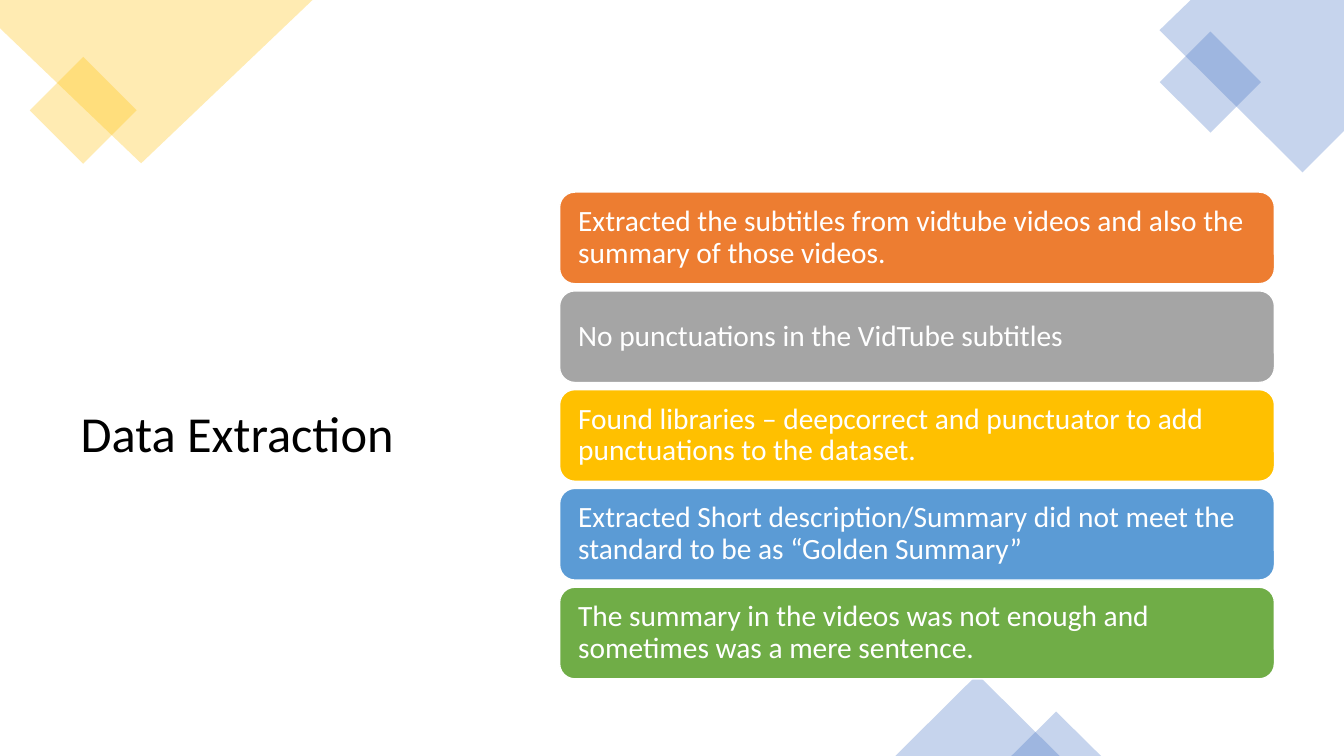
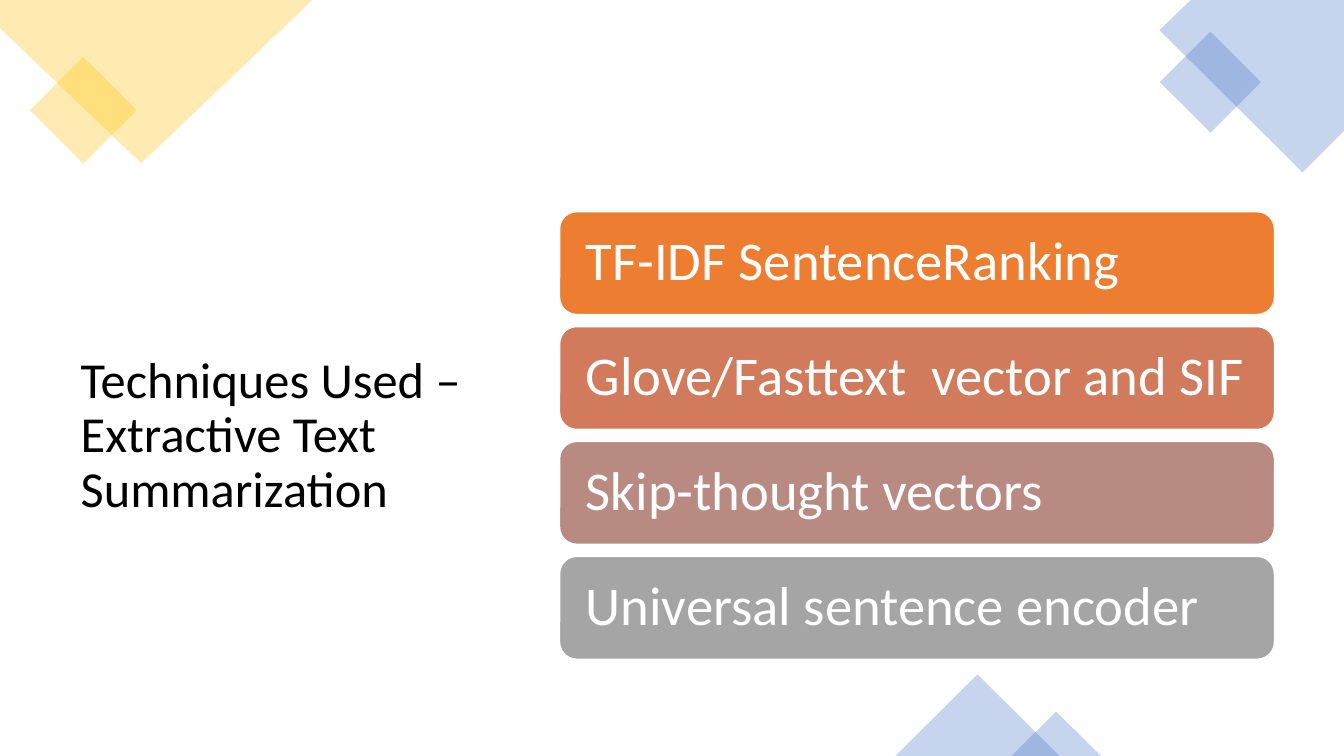
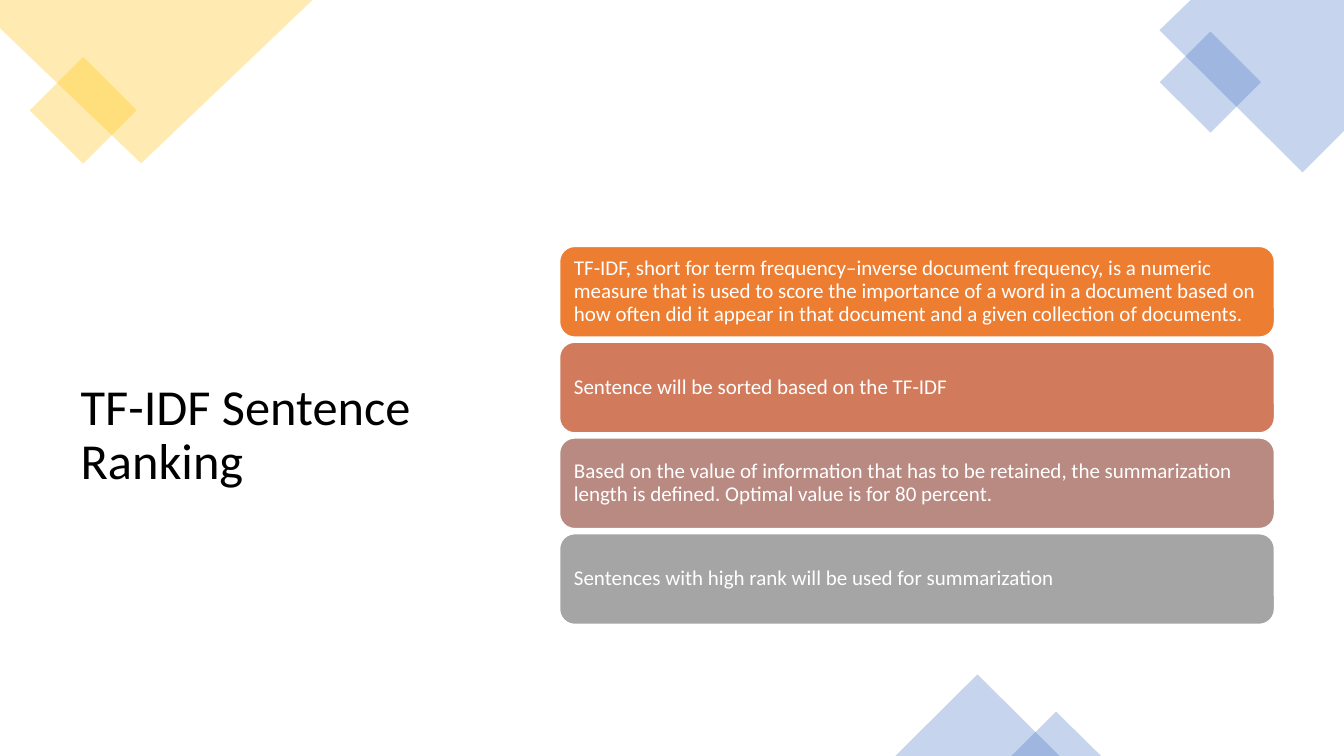
import pptx
import pptx.util
import pptx.dml.color
import pptx.enum.shapes
import pptx.enum.text
import pptx.oxml.ns
import lxml.etree

Inches = pptx.util.Inches
SHAPE = pptx.enum.shapes.MSO_SHAPE
FONT = "Calibri"
BLACK, WHITE = "000000", "FFFFFF"
GOLD, BLUE = "FFC000", "4472C4"
ORANGE, GREY = "ED7D31", "A5A5A5"
FADE = [ORANGE, "D17B5C", "B98A82", GREY]
MIDDLE, BOX_LEFT, BOX_WIDTH = 4.32, 5.55, 7.09

SLIDES = [
    {
        "title": "Data Extraction",
        "size": 21, "height": 0.91, "gap": 0.07, "inset": 0.14,
        "colors": [ORANGE, GREY, GOLD, "5B9BD5", "70AD47"],
        "points": [
            "Extracted the subtitles from vidtube videos and also the summary of those videos.",
            "No punctuations in the VidTube subtitles",
            "Found libraries – deepcorrect and punctuator to add punctuations to the dataset.",
            "Extracted Short description/Summary did not meet the standard to be as “Golden Summary”",
            "The summary in the videos was not enough and sometimes was a mere sentence.",
        ],
    },
    {
        "title": "Techniques Used – Extractive Text Summarization",
        "size": 39, "height": 1.02, "gap": 0.12, "inset": 0.21,
        "colors": FADE,
        "points": [
            "TF-IDF SentenceRanking",
            "Glove/Fasttext  vector and SIF",
            "Skip-thought vectors",
            "Universal sentence encoder",
        ],
    },
    {
        "title": "TF-IDF Sentence Ranking",
        "size": 15, "height": 0.9, "gap": 0.05, "inset": 0.1,
        "colors": FADE,
        "points": [
            "TF-IDF, short for term frequency–inverse document frequency, is a numeric measure that is used to score the importance of a word in a document based on how often did it appear in that document and a given collection of documents.",
            "Sentence will be sorted based on the TF-IDF",
            "Based on the value of information that has to be retained, the summarization length is defined. Optimal value is for 80 percent.",
            "Sentences with high rank will be used for summarization",
        ],
    },
]

CORNERS = [
    (GOLD, [(0, 0), (3.1, 0), (1.4, 1.62), (0, 0.28)]),
    (BLUE, [(11.81, 0), (13.33, 0), (13.33, 1.3), (12.92, 1.71), (11.5, 0.3)]),
]
ACCENTS = [
    (GOLD, SHAPE.RECTANGLE, 45, (0.45, 0.72, 0.75, 0.75)),
    (BLUE, SHAPE.RECTANGLE, 45, (11.65, 0.46, 0.71, 0.71)),
    (BLUE, SHAPE.ISOSCELES_TRIANGLE, 0, (8.88, 6.69, 1.63, 0.81)),
    (BLUE, SHAPE.ISOSCELES_TRIANGLE, 0, (10.03, 7.06, 0.89, 0.44)),
]


def rgb(value):
    return pptx.dml.color.RGBColor.from_string(value)


def fill(sp, color, opacity=None):
    sp.shadow.inherit = False
    sp.fill.solid()
    sp.fill.fore_color.rgb = rgb(color)
    if opacity is not None:
        tag = pptx.oxml.ns.qn("a:srgbClr")
        clr = next(sp.fill._xPr.iter(tag))
        alpha = lxml.etree.SubElement(clr, pptx.oxml.ns.qn("a:alpha"))
        alpha.set("val", str(opacity * 1000))


def write(tf, text, size, color):
    tf.word_wrap = True
    tf.auto_size = pptx.enum.text.MSO_AUTO_SIZE.NONE
    tf.vertical_anchor = pptx.enum.text.MSO_ANCHOR.MIDDLE
    p = tf.paragraphs[0]
    p.alignment = pptx.enum.text.PP_ALIGN.LEFT
    p.line_spacing = 0.9
    r = p.add_run()
    r.text = text
    r.font.name = FONT
    r.font.size = pptx.util.Pt(size)
    r.font.color.rgb = rgb(color)


def add_title(s, text):
    sp = s.shapes.title
    sp.left, sp.top, sp.width, sp.height = map(Inches, (0.7, 1.86, 4.33, 4.94))
    write(sp.text_frame, text, 36, BLACK)


def add_decoration(s):
    for color, points in CORNERS:
        start, *rest = [(Inches(x), Inches(y)) for x, y in points]
        builder = s.shapes.build_freeform(*start)
        builder.add_line_segments(rest, close=True)
        sp = builder.convert_to_shape()
        fill(sp, color, 30)
        sp.line.fill.background()
    for color, kind, rotation, box in ACCENTS:
        sp = s.shapes.add_shape(kind, *map(Inches, box))
        sp.rotation = rotation
        fill(sp, color, 30)
        sp.line.fill.background()


def add_points(s, data):
    height, pitch = data["height"], data["height"] + data["gap"]
    top = MIDDLE - (len(data["points"]) * pitch - data["gap"]) / 2
    for i, (text, color) in enumerate(zip(data["points"], data["colors"])):
        box = (BOX_LEFT, top + i * pitch, BOX_WIDTH, height)
        sp = s.shapes.add_shape(SHAPE.ROUNDED_RECTANGLE, *map(Inches, box))
        fill(sp, color)
        sp.line.color.rgb = rgb(WHITE)
        sp.line.width = pptx.util.Pt(1)
        tf = sp.text_frame
        tf.margin_left = tf.margin_right = Inches(data["inset"])
        tf.margin_top = tf.margin_bottom = 0
        write(tf, text, data["size"], WHITE)


def main():
    prs = pptx.Presentation()
    prs.slide_width, prs.slide_height = Inches(13.33), Inches(7.5)
    for data in SLIDES:
        s = prs.slides.add_slide(prs.slide_layouts[5])
        add_title(s, data["title"])
        add_decoration(s)
        add_points(s, data)
    prs.save("out.pptx")


if __name__ == "__main__":
    main()
